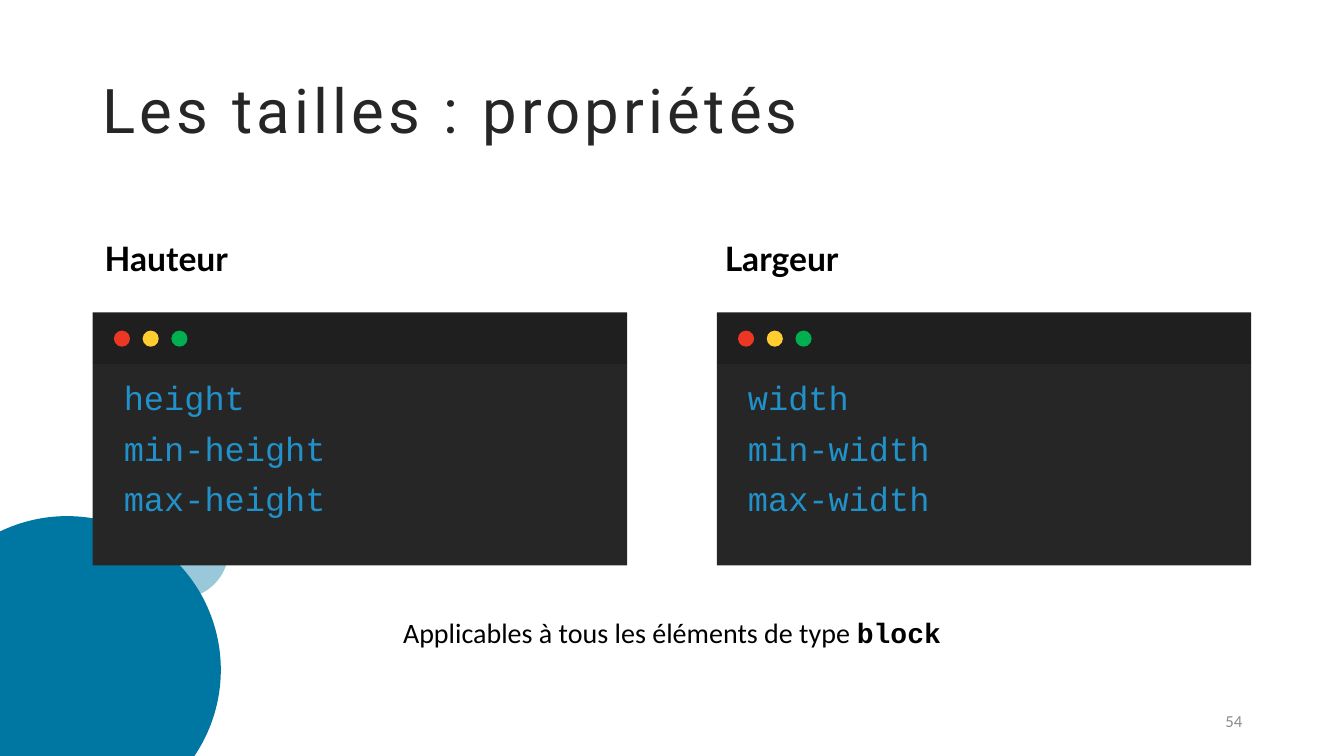
from pptx import Presentation
from pptx.dml.color import RGBColor
from pptx.enum.shapes import MSO_SHAPE as Shape
from pptx.enum.text import MSO_ANCHOR as Anchor, PP_ALIGN as Align
from pptx.oxml.ns import qn
from pptx.util import Emu, Pt
from lxml.etree import SubElement

EMU_PER_PX = 9144  # 100 px to the inch

BLACK = RGBColor(0x00, 0x00, 0x00)
DARK = RGBColor(0x26, 0x26, 0x26)
BAR = RGBColor(0x1F, 0x1F, 0x1F)
GRAY = RGBColor(0x8C, 0x8C, 0x8C)
TEAL = RGBColor(0x00, 0x76, 0xA3)
CODE_BLUE = RGBColor(0x21, 0x91, 0xC9)
RED = RGBColor(0xEC, 0x37, 0x24)
YELLOW = RGBColor(0xFF, 0xCD, 0x2F)
GREEN = RGBColor(0x00, 0xB0, 0x50)

WINDOW_TOP, WINDOW_WIDTH = 310, 530
BAR_HEIGHT, BODY_HEIGHT = 51, 200
DOT_SIZE, DOT_STEP = 16, 28.5


def px(*lengths):
    return [Emu(round(length * EMU_PER_PX)) for length in lengths]


def add_block(shapes, kind, box, color, opacity=None):
    """Add a borderless filled shape; opacity is a percentage."""
    shape = shapes.add_shape(kind, *px(*box))
    shape.shadow.inherit = False
    shape.line.fill.background()
    shape.fill.solid()
    shape.fill.fore_color.rgb = color
    if opacity is not None:
        color_element = shape.fill._xPr.find(qn("a:solidFill"))[0]
        SubElement(color_element, qn("a:alpha"), val=str(opacity * 1000))


def add_run(paragraph, text, font, size, color, bold=False, tracking=0):
    run = paragraph.add_run()
    run.text = text
    run.font.name = font
    run.font.size = Pt(size)
    run.font.color.rgb = color
    run.font.bold = bold
    if tracking:
        run.font._element.set("spc", str(tracking * 100))


def add_text(slide, box, lines, anchor=Anchor.TOP, align=Align.LEFT,
             line_spacing=1.0, gap=0, **run_format):
    """Add a text box with one paragraph per line and return its last one."""
    frame = slide.shapes.add_textbox(*px(*box)).text_frame
    frame.word_wrap = True
    frame.vertical_anchor = anchor
    for index, line in enumerate(lines):
        paragraph = frame.add_paragraph() if index else frame.paragraphs[0]
        paragraph.alignment = align
        paragraph.line_spacing = line_spacing
        if index:
            paragraph.space_before = Pt(gap)
        add_run(paragraph, line, **run_format)
    return paragraph


def add_window(slide, left):
    """Add an editor window: body, title bar and three round buttons."""
    shapes = slide.shapes.add_group_shape().shapes
    add_block(shapes, Shape.RECTANGLE,
              (left, WINDOW_TOP + BAR_HEIGHT, WINDOW_WIDTH, BODY_HEIGHT), DARK)
    add_block(shapes, Shape.RECTANGLE,
              (left, WINDOW_TOP, WINDOW_WIDTH, BAR_HEIGHT), BAR)
    for index, color in enumerate((RED, YELLOW, GREEN)):
        add_block(shapes, Shape.OVAL,
                  (left + 21 + index * DOT_STEP, WINDOW_TOP + 18, DOT_SIZE, DOT_SIZE), color)


def add_column(slide, heading, heading_left, window_left, properties):
    add_window(slide, window_left)
    add_text(slide, (heading_left, 237, WINDOW_WIDTH, 44), [heading],
             anchor=Anchor.BOTTOM, line_spacing=0.8,
             font="Lato", size=24, color=BLACK, bold=True)
    add_text(slide, (window_left + 21, 374, 490, 187), properties,
             line_spacing=0.9, gap=10,
             font="Courier New", size=24, color=CODE_BLUE)


def main():
    presentation = Presentation()
    presentation.slide_width, presentation.slide_height = px(1333, 750)
    slide = presentation.slides.add_slide(presentation.slide_layouts[6])

    # Corner circles
    add_block(slide.shapes, Shape.OVAL, (-86, 512, 305, 305), TEAL)
    add_block(slide.shapes, Shape.OVAL, (128, 495, 99, 99), TEAL, opacity=40)

    # Title
    add_text(slide, (92, 40, 1150, 145), ["Les tailles : propriétés"],
             anchor=Anchor.MIDDLE, line_spacing=0.9,
             font="Roboto", size=44, color=DARK, tracking=3)

    # Property columns
    add_column(slide, "Hauteur", 94, 92, ["height", "min-height", "max-height"])
    add_column(slide, "Largeur", 709, 711, ["width", "min-width", "max-width"])

    # Closing remark and slide number
    remark = add_text(slide, (252, 606, 829, 44),
                      ["Applicables à tous les éléments de type "],
                      align=Align.CENTER, font="Calibri", size=20, color=BLACK)
    add_run(remark, "block", "Courier New", 20, BLACK, bold=True)
    add_text(slide, (942, 695, 300, 40), ["54"], anchor=Anchor.MIDDLE,
             align=Align.RIGHT, font="Calibri", size=12, color=GRAY)

    presentation.save("out.pptx")


if __name__ == "__main__":
    main()
